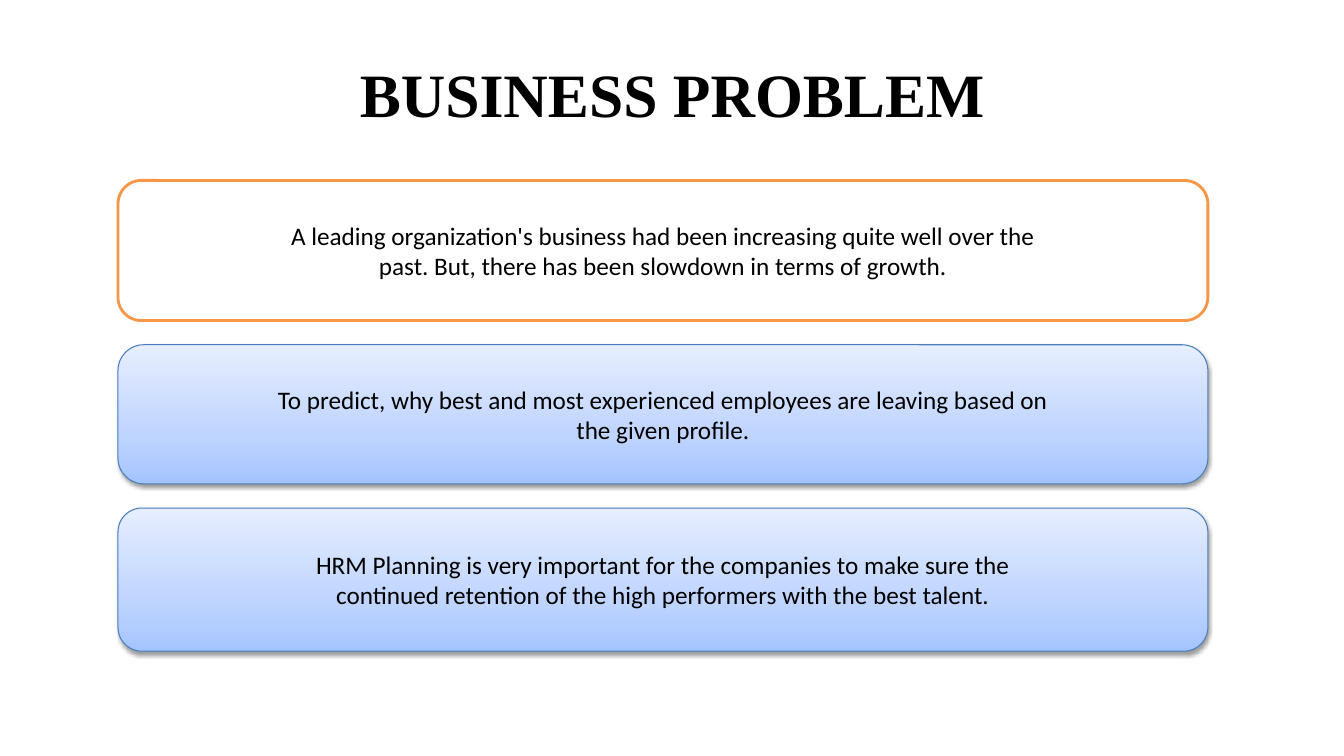
from dataclasses import dataclass

from lxml.etree import SubElement
from pptx import Presentation
from pptx.dml.color import RGBColor as RGB
from pptx.enum.shapes import MSO_SHAPE as Shape
from pptx.enum.text import MSO_ANCHOR as Anchor, PP_ALIGN as Align
from pptx.oxml.ns import qn
from pptx.util import Inches, Pt


@dataclass(frozen=True)
class Theme:
    ink: str = "000000"
    paper: str = "FFFFFF"
    accent: str = "F79646"
    edge: str = "4B7EBC"
    shade: tuple = ((0, "A4C4FF"), (35, "BFD4FF"), (100, "E6EEFF"))
    head: str = "Times New Roman"
    body: str = "Calibri"
    large: int = 44
    small: int = 18


THEME = Theme()

# Each card: height, corner ratio, tinted or plain, lines of text
CARDS = [
    (1.39, 0.167, False, [
        "A leading organization's business had been increasing quite well over the",
        "past. But, there has been slowdown in terms of growth."]),
    (1.38, 0.186, True, [
        "To predict, why best and most experienced employees are leaving based on",
        "the given profile."]),
    (1.42, 0.167, True, [
        "HRM Planning is very important for the companies to make sure the",
        "continued retention of the high performers with the best talent."]),
]


def write(frame, lines, style):
    """Fill a frame with centred lines in one font style."""
    frame.word_wrap = True
    frame.vertical_anchor = Anchor.MIDDLE
    for i, line in enumerate(lines):
        para = frame.paragraphs[0] if i == 0 else frame.add_paragraph()
        para.alignment = Align.CENTER
        run = para.add_run()
        run.text = line
        for key, value in style.items():
            setattr(run.font, key, value)
        run.font.color.rgb = RGB.from_string(THEME.ink)


def tint(card):
    """Give a card its three-stop gradient and soft shadow."""
    card.fill.gradient()
    card.fill.gradient_angle = 90
    props = card._element.spPr
    stops = props.find(qn("a:gradFill")).find(qn("a:gsLst"))
    for old in list(stops):
        stops.remove(old)
    for pos, color in THEME.shade:
        stop = SubElement(stops, qn("a:gs"), pos=str(pos * 1000))
        SubElement(stop, qn("a:srgbClr"), val=color)

    glow = SubElement(props.find(qn("a:effectLst")), qn("a:outerShdw"),
                      blurRad=str(Pt(3.1)), dist=str(Pt(1.6)),
                      dir="5400000", rotWithShape="0")
    color = SubElement(glow, qn("a:srgbClr"), val=THEME.ink)
    SubElement(color, qn("a:alpha"), val="38000")


def add_title(slide, left, top, width, height):
    box = slide.shapes.add_textbox(*map(Inches, (left, top, width, height)))
    style = {"name": THEME.head, "size": Pt(THEME.large), "bold": True}
    write(box.text_frame, ["BUSINESS PROBLEM"], style)


def add_cards(slide, left, top, width, gap):
    """Stack the cards downwards with equal gaps."""
    style = {"name": THEME.body, "size": Pt(THEME.small)}
    for height, corner, tinted, lines in CARDS:
        card = slide.shapes.add_shape(
            Shape.ROUNDED_RECTANGLE, *map(Inches, (left, top, width, height)))
        card.adjustments[0] = corner
        card.shadow.inherit = False
        if tinted:
            tint(card)
        else:
            card.fill.solid()
            card.fill.fore_color.rgb = RGB.from_string(THEME.paper)
        edge, weight = (THEME.edge, 0.75) if tinted else (THEME.accent, 2)
        card.line.color.rgb = RGB.from_string(edge)
        card.line.width = Pt(weight)
        write(card.text_frame, lines, style)
        top += height + gap


def main():
    deck = Presentation()
    deck.slide_width, deck.slide_height = Inches(13.33), Inches(7.5)
    slide = deck.slides.add_slide(deck.slide_layouts[6])
    add_title(slide, 0.67, 0.3, 12, 1.25)
    add_cards(slide, 1.17, 1.79, 10.81, 0.24)
    deck.save("out.pptx")


if __name__ == "__main__":
    main()
